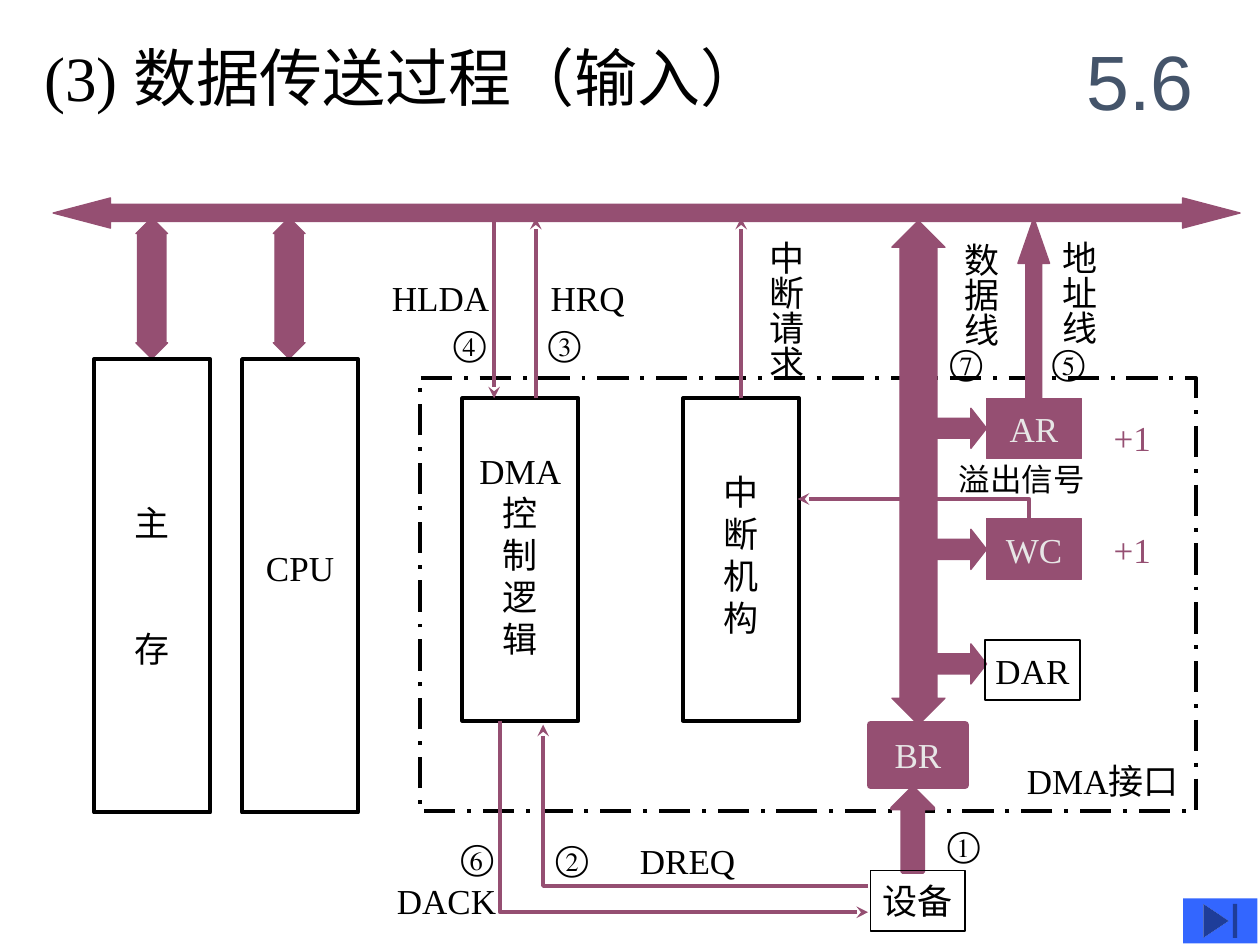
from lxml import etree
from pptx import Presentation
from pptx.dml.color import RGBColor
from pptx.enum.dml import MSO_LINE
from pptx.enum.shapes import MSO_CONNECTOR, MSO_SHAPE
from pptx.enum.text import MSO_ANCHOR, MSO_AUTO_SIZE, PP_ALIGN
from pptx.oxml.ns import qn
from pptx.util import Cm, Pt

RECT = MSO_SHAPE.RECTANGLE
LEFT_RIGHT, UP_DOWN = MSO_SHAPE.LEFT_RIGHT_ARROW, MSO_SHAPE.UP_DOWN_ARROW
UP, RIGHT = MSO_SHAPE.UP_ARROW, MSO_SHAPE.RIGHT_ARROW
END_BUTTON = MSO_SHAPE.ACTION_BUTTON_END
STRAIGHT = MSO_CONNECTOR.STRAIGHT
DASH_DOT = MSO_LINE.LONG_DASH_DOT
TOP, MIDDLE = MSO_ANCHOR.TOP, MSO_ANCHOR.MIDDLE
LEFT, CENTER = PP_ALIGN.LEFT, PP_ALIGN.CENTER
NO_FIT = MSO_AUTO_SIZE.NONE

PLUM, BLACK, PALE, SLATE, BLUE = "954F72", "000000", "E7E6E6", "44546A", "3366FF"
rgb = RGBColor.from_string


def paint(sp, fill, line, width=0.75):
    """Set fill and outline (None for either means none) and drop the shadow."""
    sp.shadow.inherit = False
    if fill:
        sp.fill.solid()
        sp.fill.fore_color.rgb = rgb(fill)
    else:
        sp.fill.background()
    if line:
        sp.line.color.rgb = rgb(line)
        sp.line.width = Pt(width)
    else:
        sp.line.fill.background()


def write(sp, text, color=BLACK, size=20, align=LEFT, anchor=TOP,
          font="Times New Roman", wrap=False):
    tf = sp.text_frame
    tf.text = text
    tf.word_wrap, tf.auto_size, tf.vertical_anchor = wrap, NO_FIT, anchor
    for p in tf.paragraphs:
        p.alignment = align
        for r in p.runs:
            r.font.name, r.font.size = font, Pt(size)
            r.font.color.rgb = rgb(color)


prs = Presentation()
prs.slide_width, prs.slide_height = Cm(25.4), Cm(19.05)
s = prs.slides.add_slide(prs.slide_layouts[5])

title = s.shapes.title
title.left, title.top, title.width, title.height = Cm(0.64), Cm(0.64), Cm(17.35), Cm(1.78)
write(title, "(3) 数据传送过程（输入）", size=36, wrap=True)

section = s.shapes.add_textbox(Cm(21.39), Cm(0.43), Cm(3.18), Cm(2.34))
write(section, "5.6", SLATE, 44, CENTER, MIDDLE, "Arial", wrap=True)

# DMA interface frame
frame = s.shapes.add_shape(RECT, Cm(8.46), Cm(7.62), Cm(15.65), Cm(8.74))
paint(frame, None, BLACK, 2.25)
frame.line.dash_style = DASH_DOT

# Block arrows: kind, left, top, width, height, adjustments, line width
arrows = [
    (LEFT_RIGHT, 1.07, 3.99, 23.93, 0.61, (0.568, 1.9), 0.75),
    (UP_DOWN, 2.74, 4.39, 0.64, 2.84, (0.5, 0.892), 0.75),
    (UP_DOWN, 5.51, 4.39, 0.64, 2.84, (0.5, 0.892), 0.75),
    (UP_DOWN, 17.98, 4.45, 1.07, 10.16, (0.383, 0.696), 0.75),
    (UP, 20.52, 4.39, 0.64, 3.66, (0.5, 1.439), 0.75),
    (UP, 17.98, 15.88, 0.84, 1.7, (0.5, 0.5), 2.25),
]
arrows += [(RIGHT, 18.62, y, 1.27, 0.81, (0.5, 0.391), 0.75) for y in (8.23, 10.67, 12.98)]
for kind, x, y, w, h, adjustments, width in arrows:
    sp = s.shapes.add_shape(kind, Cm(x), Cm(y), Cm(w), Cm(h))
    for i, value in enumerate(adjustments):
        sp.adjustments[i] = value
    paint(sp, PLUM, PLUM, width)

# Units: text, left, top, width, height, fill, line, line width, bottom inset
units = [
    ("主\n存", 1.9, 7.24, 2.34, 9.14, None, BLACK, 2.25, 0),
    ("CPU", 4.88, 7.24, 2.34, 9.14, None, BLACK, 2.25, 0.74),
    ("DMA\n控\n制\n逻\n辑", 9.32, 8.03, 2.34, 6.5, None, BLACK, 2.25, 0.2),
    ("中\n断\n机\n构", 13.77, 8.03, 2.34, 6.5, None, BLACK, 2.25, 0.2),
    ("AR", 19.89, 8.03, 1.91, 1.22, PLUM, PLUM, 0.75, 0),
    ("WC", 19.89, 10.46, 1.91, 1.22, PLUM, PLUM, 0.75, 0),
    ("DAR", 19.86, 12.9, 1.91, 1.22, None, BLACK, 1, 0),
    ("BR", 17.55, 14.61, 1.91, 1.22, PLUM, PLUM, 4.5, 0),
    ("设备", 17.55, 17.55, 1.91, 1.22, None, BLACK, 1, 0),
]
boxes = {}
for text, x, y, w, h, fill, line, width, inset in units:
    sp = s.shapes.add_shape(RECT, Cm(x), Cm(y), Cm(w), Cm(h))
    paint(sp, fill, line, width)
    write(sp, text, PALE if fill else BLACK, align=CENTER, anchor=MIDDLE)
    tf = sp.text_frame
    tf.margin_left = tf.margin_right = tf.margin_top = 0
    tf.margin_bottom = Cm(inset)
    boxes[text] = sp
boxes["主\n存"].text_frame.paragraphs[1].space_before = Pt(48)

# Signal lines, each ending in a stealth arrowhead
signals = []
for x, y1, y2 in [(9.96, 4.39, 8.03), (10.8, 8.03, 4.39), (14.94, 8.03, 4.39)]:
    cx = s.shapes.add_connector(STRAIGHT, Cm(x), Cm(y1), Cm(x), Cm(y2))
    etree.SubElement(cx._element.spPr, qn("a:effectLst"))
    signals.append(cx)
signals[-1].begin_connect(boxes["中\n断\n机\n构"], 0)

routes = [
    [(17.5, 17.86), (10.95, 17.86), (10.95, 14.61)],
    [(10.08, 14.53), (10.08, 18.39), (17.5, 18.39)],
    [(20.75, 10.46), (20.75, 10.06), (16.08, 10.06)],
]
for route in routes:
    start, *rest = [(Cm(x), Cm(y)) for x, y in route]
    fb = s.shapes.build_freeform(*start)
    fb.add_line_segments(rest, close=False)
    sp = fb.convert_to_shape()
    paint(sp, None, PLUM)
    signals.append(sp)

for signal in signals:
    signal.line.color.rgb = rgb(PLUM)
    signal.line.width = Pt(2.25)
    etree.SubElement(signal.line._get_or_add_ln(), qn("a:tailEnd"), type="stealth")

# Labels: text, left, top, width, colour, size
labels = [
    ("HLDA", 7.65, 5.44, 2.46, BLACK, 20),
    ("HRQ", 10.85, 5.44, 2.01, BLACK, 20),
    ("DREQ", 12.65, 16.79, 2.44, BLACK, 20),
    ("DACK", 7.75, 17.6, 2.51, BLACK, 20),
    ("DMA接口", 20.45, 15.19, 3.73, BLACK, 20),
    ("溢出信号", 19.08, 9.14, 3.05, BLACK, 18),
    ("+1", 22.2, 8.28, 1.24, PLUM, 20),
    ("+1", 22.2, 10.52, 1.24, PLUM, 20),
]
steps = [("①", 18.85, 16.46), ("②", 10.95, 16.74), ("③", 10.8, 6.35), ("④", 8.89, 6.35),
         ("⑤", 20.96, 6.73), ("⑥", 9.04, 16.71), ("⑦", 18.9, 6.73)]
labels += [(*step, 1.22, BLACK, 20) for step in steps]
for text, x, y, w, color, size in labels:
    tb = s.shapes.add_textbox(Cm(x), Cm(y), Cm(w), Cm(1.12))
    write(tb, text, color, size)

# Vertical labels beside the bus lines
for text, x, y, h in [("中断请求", 15.04, 4.6, 3.1), ("数据线", 18.97, 4.65, 2.39),
                      ("地址线", 20.96, 4.6, 2.39)]:
    tb = s.shapes.add_textbox(Cm(x), Cm(y), Cm(1.35), Cm(h))
    write(tb, text)
    tf = tb.text_frame
    tf.margin_left = tf.margin_right = Cm(0.13)
    tf.margin_top = tf.margin_bottom = Cm(0.25)
    tf._txBody.bodyPr.set("vert", "eaVert")

button = s.shapes.add_shape(END_BUTTON, Cm(23.85), Cm(18.11), Cm(1.5), Cm(0.91))
paint(button, BLUE, None)

prs.save("out.pptx")
